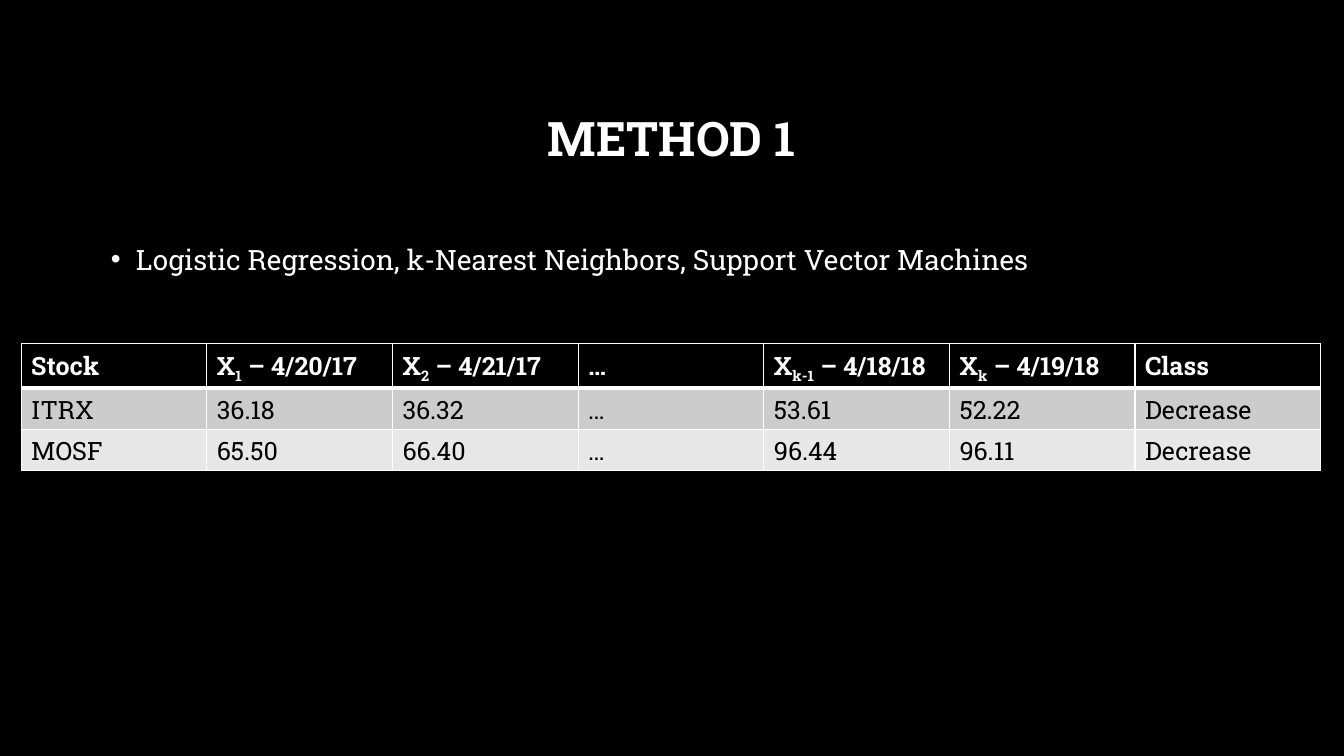
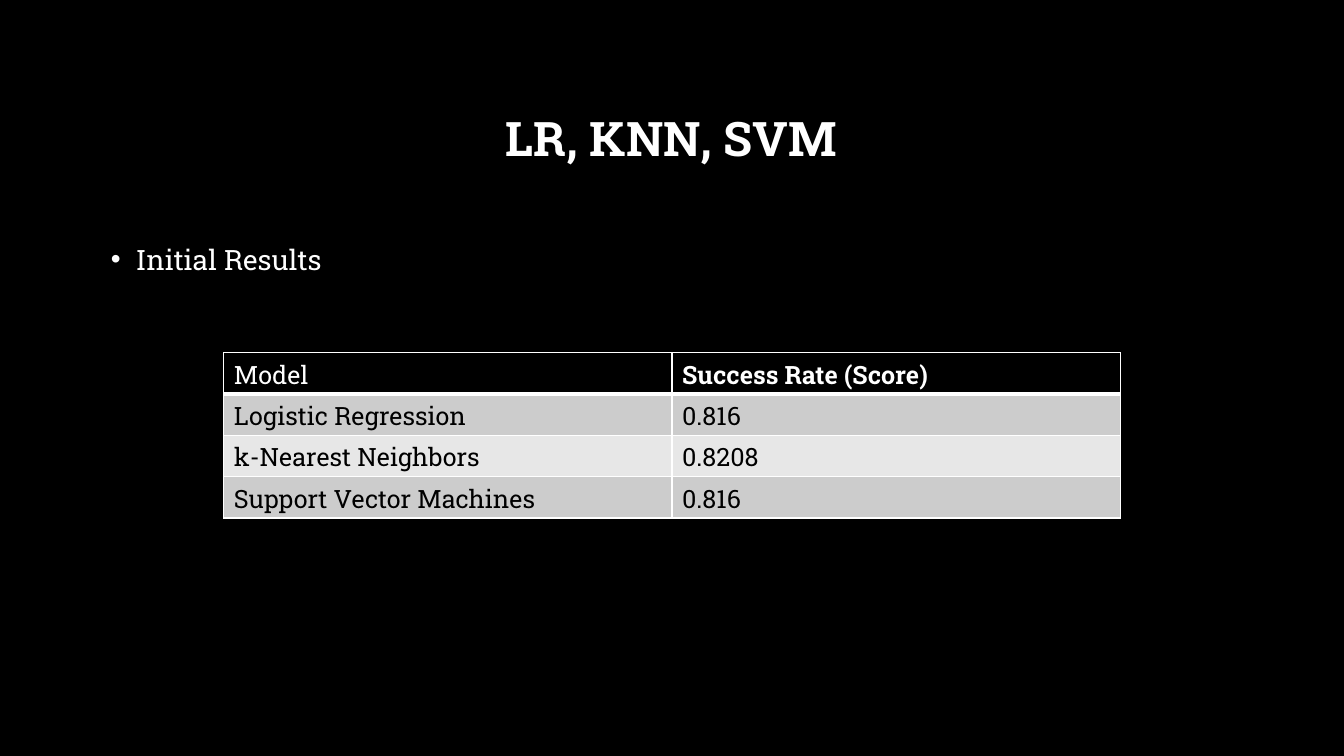
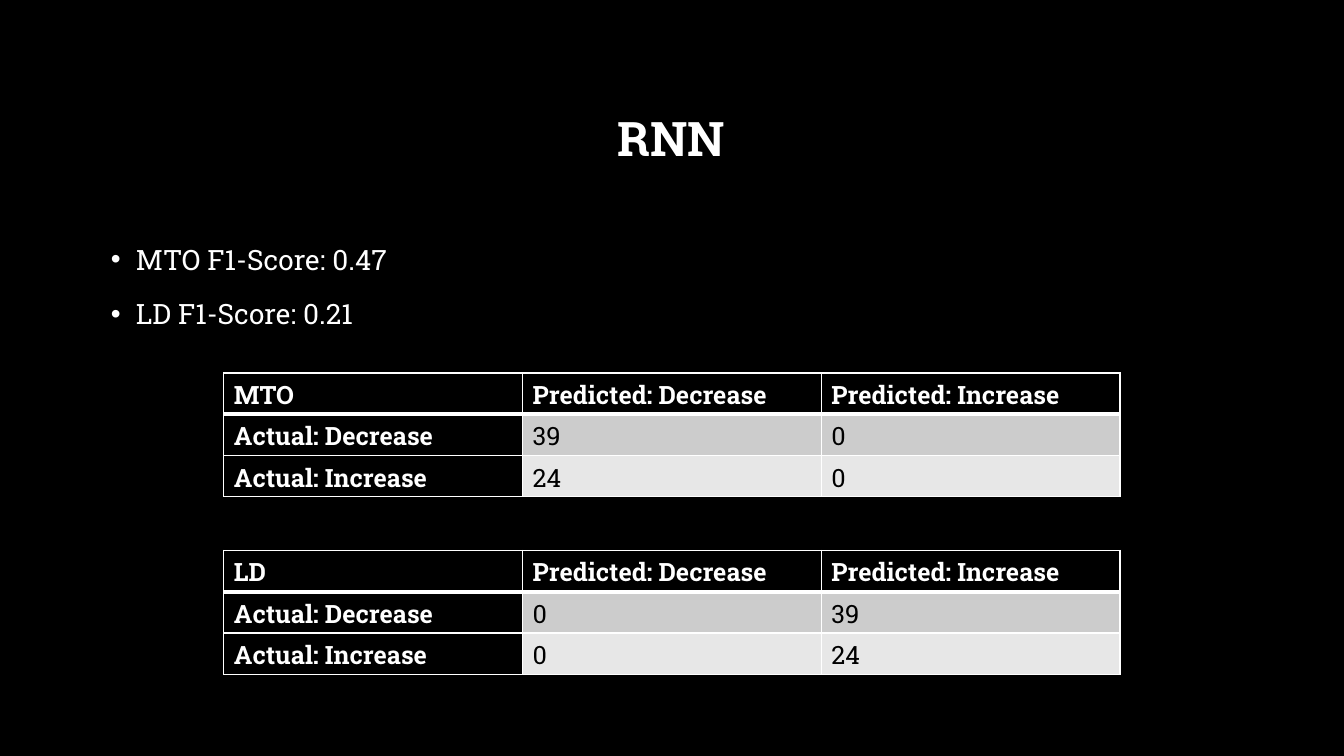
from lxml.etree import SubElement
from pptx import Presentation
from pptx.dml.color import RGBColor
from pptx.enum.text import MSO_ANCHOR, PP_ALIGN
from pptx.oxml import parse_xml
from pptx.oxml.ns import nsdecls, qn
from pptx.util import Inches, Pt

FONT = "Roboto Slab"
BLACK, WHITE = "000000", "FFFFFF"
BANDS = ("CCCCCC", "E7E7E7")
ROW_H = 0.41
PREDICTED = ["Predicted: Decrease", "Predicted: Increase"]
ACTUAL = ["Actual: Decrease", "Actual: Increase"]


def confusion(name, decrease, increase):
    return [[name, *PREDICTED], [ACTUAL[0], *decrease], [ACTUAL[1], *increase]]


# Within a tuple, every second part is a subscript.
SLIDES = [
    {
        "title": "METHOD 1",
        "bullets": ["Logistic Regression, k-Nearest Neighbors, Support Vector Machines"],
        "tables": [
            {"left": 0.21, "top": 3.41, "width": 12.89, "rows": [
                ["Stock", ("X", "1", " – 4/20/17"), ("X", "2", " – 4/21/17"), "…",
                 ("X", "k-1", " – 4/18/18"), ("X", "k", " – 4/19/18"), "Class"],
                ["ITRX", "36.18", "36.32", "…", "53.61", "52.22", "Decrease"],
                ["MOSF", "65.50", "66.40", "…", "96.44", "96.11", "Decrease"],
            ]},
        ],
    },
    {
        "title": "LR, KNN, SVM",
        "bullets": ["Initial Results"],
        "tables": [
            {"left": 2.22, "top": 3.5, "width": 8.89, "plain_corner": True, "rows": [
                ["Model", "Success Rate (Score)"],
                ["Logistic Regression", "0.816"],
                ["k-Nearest Neighbors", "0.8208"],
                ["Support Vector Machines", "0.816"],
            ]},
        ],
    },
    {
        "title": "RNN",
        "bullets": ["MTO F1-Score: 0.47", "LD F1-Score: 0.21"],
        "tables": [
            {"left": 2.22, "top": 3.7, "width": 8.89, "head_col": True,
             "rows": confusion("MTO", ("39", "0"), ("24", "0"))},
            {"left": 2.22, "top": 5.46, "width": 8.89, "head_col": True,
             "rows": confusion("LD", ("0", "39"), ("0", "24"))},
        ],
    },
]


def rgb(value):
    return RGBColor.from_string(value)


def write(p, text, size=18, color=WHITE, bold=False, align=None, spacing=None, before=None):
    p.alignment = align
    p.line_spacing = spacing
    p.space_before = None if before is None else Pt(before)
    parts = (text,) if isinstance(text, str) else text
    for i, part in enumerate(parts):
        r = p.add_run()
        r.text = part
        r.font.name = FONT
        r.font.size = Pt(size)
        r.font.bold = bold
        r.font.color.rgb = rgb(color)
        if i % 2:
            r.font._element.set("baseline", "-25000")


def add_box(s, top, height, anchor):
    tf = s.shapes.add_textbox(Inches(1), Inches(top), Inches(11.32), Inches(height)).text_frame
    tf.word_wrap = True
    tf.vertical_anchor = anchor
    return tf


def add_title(s, text):
    tf = add_box(s, 0.67, 1.45, MSO_ANCHOR.MIDDLE)
    write(tf.paragraphs[0], text, size=34, bold=True, align=PP_ALIGN.CENTER, spacing=0.9)


def add_bullets(s, items):
    tf = add_box(s, 2.29, 4.04, MSO_ANCHOR.TOP)
    for i, item in enumerate(items):
        p = tf.add_paragraph() if i else tf.paragraphs[0]
        write(p, item, size=20, spacing=1.2, before=10)
        pPr = p._p.get_or_add_pPr()
        pPr.set("marL", str(Inches(0.25)))
        pPr.set("indent", str(-Inches(0.25)))
        SubElement(pPr, qn("a:buFont")).set("typeface", "Arial")
        SubElement(pPr, qn("a:buChar")).set("char", "•")


def set_borders(cell, top, bottom):
    tcPr = cell._tc.get_or_add_tcPr()
    for i, (side, width) in enumerate((("L", 1), ("R", 1), ("T", top), ("B", bottom))):
        tcPr.insert(i, parse_xml(
            f'<a:ln{side} {nsdecls("a")} w="{Pt(width)}"><a:solidFill>'
            f'<a:srgbClr val="{WHITE}"/></a:solidFill></a:ln{side}>'))


def add_table(s, rows, left, top, width, head_col=False, plain_corner=False):
    n = len(rows[0])
    table = s.shapes.add_table(len(rows), n, Inches(left), Inches(top),
                               Inches(width), Inches(ROW_H * len(rows))).table
    table.first_row = table.horz_banding = False
    for col in table.columns:
        col.width = Inches(width / n)
    for i, row in enumerate(rows):
        table.rows[i].height = Inches(ROW_H)
        for j, text in enumerate(row):
            cell = table.cell(i, j)
            head = i == 0 or (head_col and j == 0)
            corner = i == 0 and j == 0
            cell.fill.solid()
            cell.fill.fore_color.rgb = rgb(BLACK if head else BANDS[(i - 1) % 2])
            set_borders(cell, 3 if i == 1 else 1, 3 if i == 0 else 1)
            write(cell.text_frame.paragraphs[0], text, color=WHITE if head else BLACK,
                  bold=head and not (corner and plain_corner))


prs = Presentation()
prs.slide_width, prs.slide_height = Inches(13.33), Inches(7.5)
background = prs.slide_master.background.fill
background.solid()
background.fore_color.rgb = rgb(BLACK)

for content in SLIDES:
    s = prs.slides.add_slide(prs.slide_layouts[6])
    add_title(s, content["title"])
    add_bullets(s, content["bullets"])
    for table in content["tables"]:
        add_table(s, **table)

prs.save("out.pptx")
